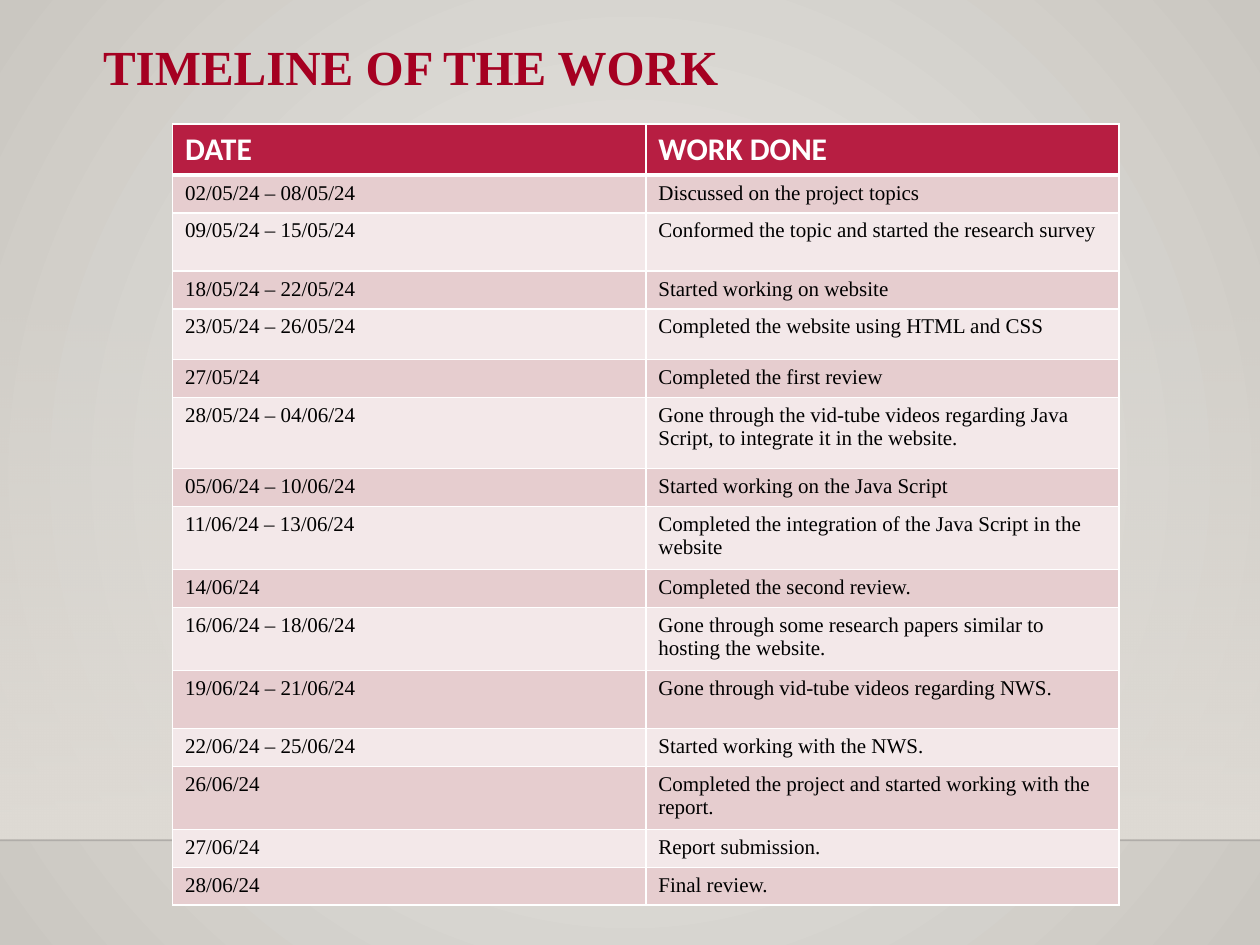
from typing import NamedTuple

from lxml.etree import SubElement as Sub
from pptx import Presentation
from pptx.dml.color import RGBColor as Rgb
from pptx.enum.shapes import MSO_CONNECTOR as Link, MSO_SHAPE as Form
from pptx.enum.text import MSO_ANCHOR as Anchor
from pptx.oxml import parse_xml
from pptx.oxml.ns import nsdecls, qn
from pptx.util import Cm, Pt

HEX = {
    "title": "A50021", "head": "B71E42", "odd": "E6CDCF", "even": "F3E8E9",
    "white": "FFFFFF", "black": "000000", "glow": "ECEAE7", "edge": "CAC7C1",
    "wall": "DFDBD5", "floor": "000001",
}
SERIF, SANS = "Times New Roman", "Calibri"
WIDE, HIGH = 25.4, 19.05
FLOOR = 16.94  # height of the floor line


class Step(NamedTuple):
    date: str
    work: str
    high: float = 0.73


class Stop(NamedTuple):
    place: int
    tone: str
    alpha: int = 100


STEPS = [
    Step("02/05/24 – 08/05/24", "Discussed on the project topics"),
    Step("09/05/24 – 15/05/24", "Conformed the topic and started the research survey", 1.17),
    Step("18/05/24 – 22/05/24", "Started working on website"),
    Step("23/05/24 – 26/05/24", "Completed the website using HTML and CSS", 1.02),
    Step("27/05/24", "Completed the first review"),
    Step("28/05/24 – 04/06/24",
         "Gone through the vid-tube videos regarding Java Script, "
         "to integrate it in the website.", 1.44),
    Step("05/06/24 – 10/06/24", "Started working on the Java Script"),
    Step("11/06/24 – 13/06/24",
         "Completed the integration of the Java Script in the website", 1.18),
    Step("14/06/24", "Completed the second review."),
    Step("16/06/24 – 18/06/24",
         "Gone through some research papers similar to hosting the website.", 1.18),
    Step("19/06/24 – 21/06/24", "Gone through vid-tube videos regarding NWS.", 1.17),
    Step("22/06/24 – 25/06/24", "Started working with the NWS."),
    Step("26/06/24", "Completed the project and started working with the report.", 1.18),
    Step("27/06/24", "Report submission."),
    Step("28/06/24", "Final review."),
]


def tint(tone: str) -> Rgb:
    return Rgb.from_string(HEX[tone])


def blend(fill, stops: list[Stop], course: str) -> None:
    """Give a fill the stops and the course (a:lin or a:path) of a gradient."""
    fill.gradient()
    grad = fill._fill._gradFill
    for part in list(grad):
        grad.remove(part)
    row = Sub(grad, qn("a:gsLst"))
    for stop in stops:
        spot = Sub(row, qn("a:gs"), pos=str(stop.place * 1000))
        tone = Sub(spot, qn("a:srgbClr"), val=HEX[stop.tone])
        Sub(tone, qn("a:alpha"), val=str(stop.alpha * 1000))
    grad.append(parse_xml(course))


def style(para, font: str, size: int, tone: str, bold: bool) -> None:
    para.font.name, para.font.size, para.font.bold = font, Pt(size), bold
    para.font.color.rgb = tint(tone)


def border(cell, top: int, base: int) -> None:
    props = cell._tc.get_or_add_tcPr()
    for side, width in (("L", 1), ("R", 1), ("T", top), ("B", base)):
        line = Sub(props, qn(f"a:ln{side}"), w=str(Pt(width)))
        Sub(Sub(line, qn("a:solidFill")), qn("a:srgbClr"), val=HEX["white"])


def backdrop(slide) -> None:
    blend(slide.background.fill, [Stop(0, "glow"), Stop(100, "edge")],
          f'<a:path {nsdecls("a")} path="circle"><a:fillToRect '
          'l="50000" t="50000" r="50000" b="50000"/></a:path>')
    # Wall that fades in towards the floor
    top = 5.59
    wall = slide.shapes.add_shape(Form.RECTANGLE, 0, Cm(top), Cm(WIDE), Cm(FLOOR - top))
    wall.shadow.inherit = False
    wall.line.fill.background()
    blend(wall.fill, [Stop(0, "wall", 0), Stop(100, "wall")],
          f'<a:lin {nsdecls("a")} ang="5400000" scaled="0"/>')
    # Floor line
    floor = slide.shapes.add_connector(Link.STRAIGHT, 0, Cm(FLOOR), Cm(WIDE), Cm(FLOOR))
    floor.line.width = Pt(1)
    floor.line.color.rgb = tint("floor")
    tone = floor.line._ln.find(".//" + qn("a:srgbClr"))
    Sub(tone, qn("a:alpha"), val="20000")
    Sub(floor._element.spPr, qn("a:effectLst"))


def heading(slide, text: str) -> None:
    frame = slide.shapes.add_textbox(Cm(1.83), Cm(0.48), Cm(16.89), Cm(1.6)).text_frame
    frame.word_wrap = True
    frame.vertical_anchor = Anchor.MIDDLE
    para = frame.paragraphs[0]
    para.text = text
    para.line_spacing = 1.07
    para.space_after = Pt(4.5)
    style(para, SERIF, 28, "title", True)


def timeline(slide, steps: list[Step]) -> None:
    rows = [Step("DATE", "WORK DONE", 1.03), *steps]
    tall = sum(row.high for row in rows)
    table = slide.shapes.add_table(
        len(rows), 2, Cm(3.48), Cm(2.5), Cm(19.08), Cm(tall)).table
    for num, row in enumerate(rows):
        table.rows[num].height = Cm(row.high)
        head = num == 0
        fill = "head" if head else "odd" if num % 2 else "even"
        for col, text in enumerate((row.date, row.work)):
            cell = table.cell(num, col)
            border(cell, 3 if num == 1 else 1, 3 if head else 1)
            cell.fill.solid()
            cell.fill.fore_color.rgb = tint(fill)
            cell.text = text
            look = (SANS, 18, "white", True) if head else (SERIF, 12, "black", False)
            style(cell.text_frame.paragraphs[0], *look)


def main() -> None:
    deck = Presentation()
    deck.slide_width, deck.slide_height = Cm(WIDE), Cm(HIGH)
    slide = deck.slides.add_slide(deck.slide_layouts[6])
    backdrop(slide)
    heading(slide, "TIMELINE OF THE WORK")
    timeline(slide, STEPS)
    deck.save("out.pptx")


if __name__ == "__main__":
    main()
